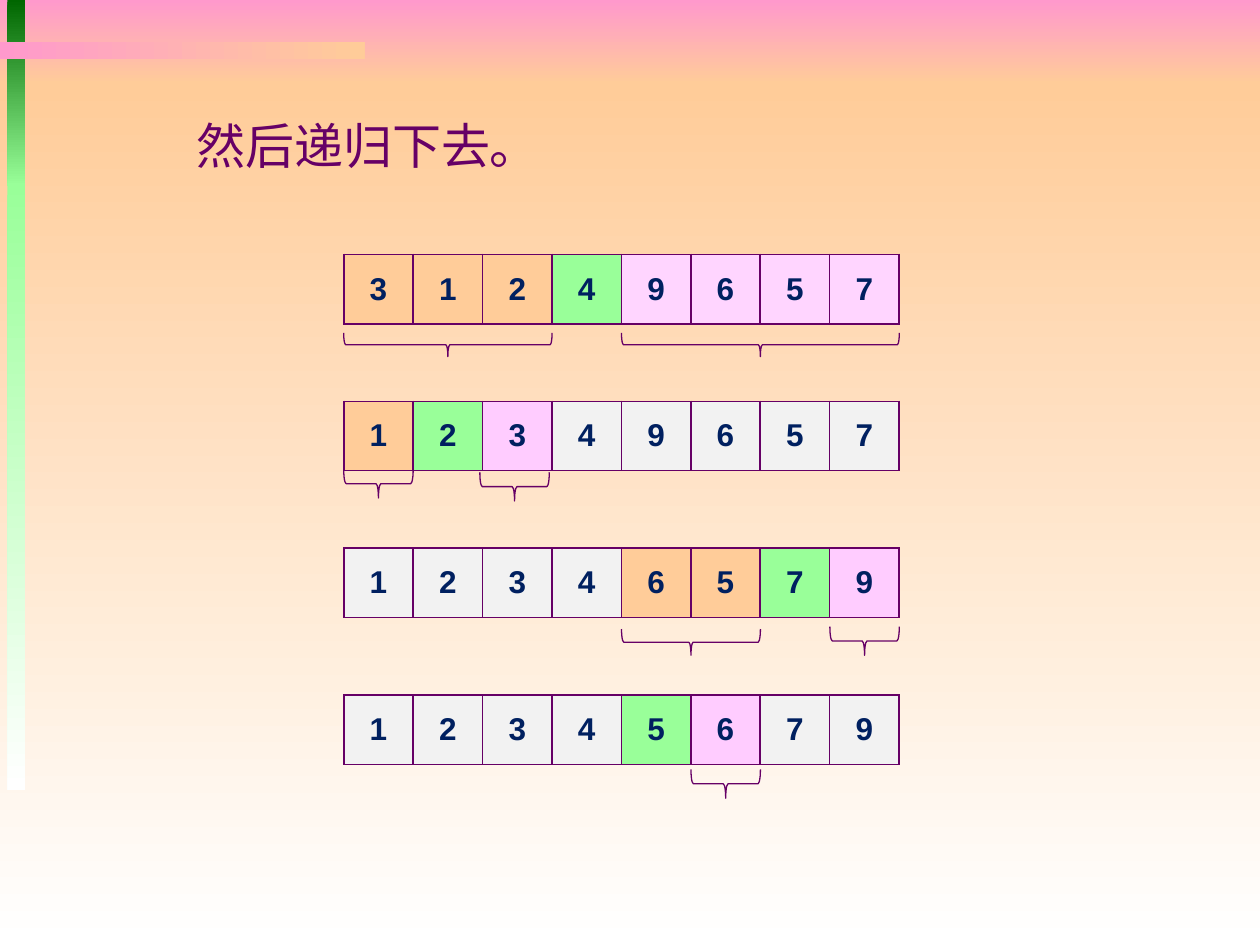
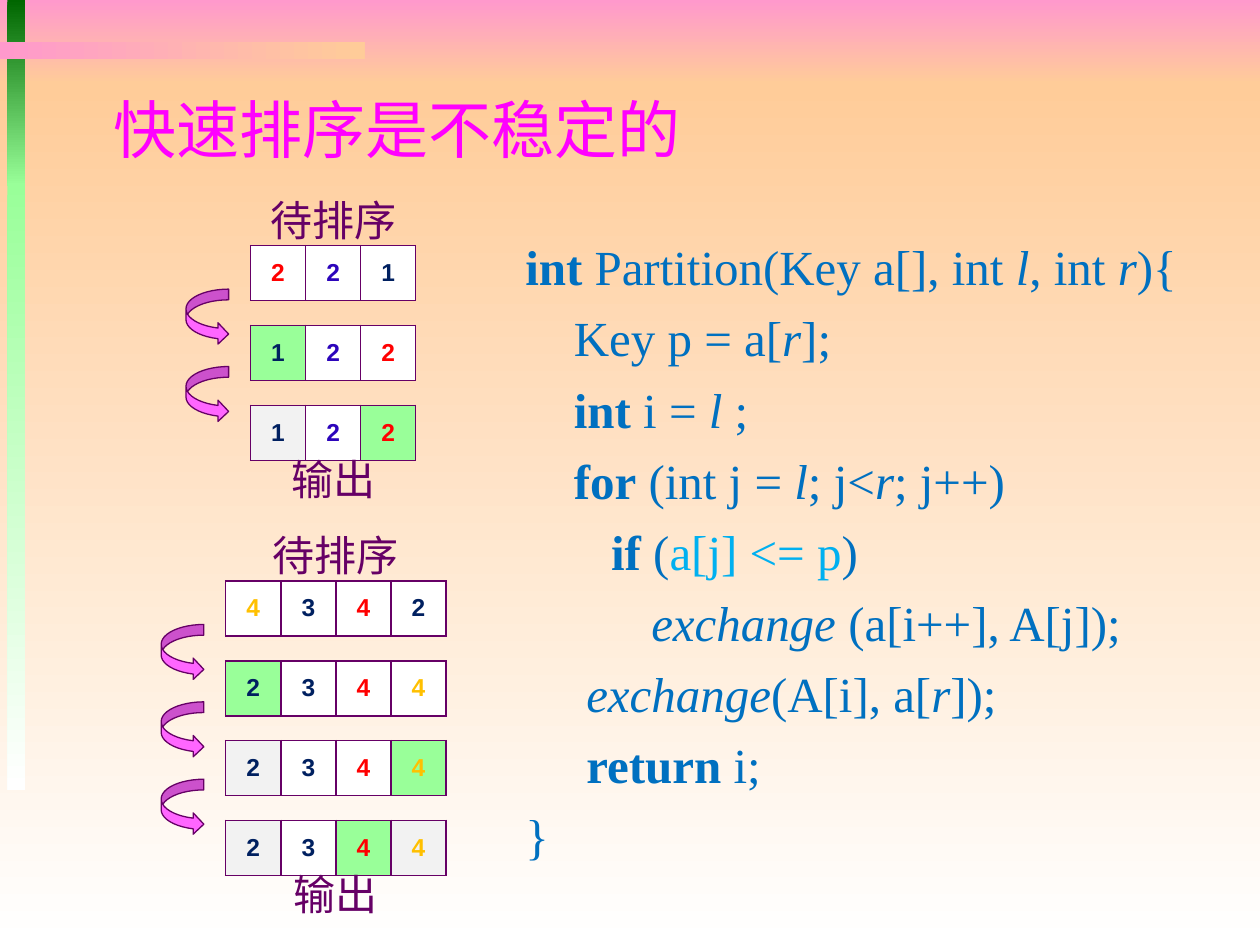
from dataclasses import dataclass

from lxml import etree
from pptx import Presentation
from pptx.dml.color import RGBColor
from pptx.enum import shapes, text
from pptx.oxml import ns
from pptx.util import Cm, Pt


@dataclass(frozen=True)
class Theme:
    """Colours, fonts and type sizes shared by the slides."""
    pink: str = "FF99CC"
    peach: str = "FFCC99"
    forest: str = "006600"
    green: str = "99FF99"
    white: str = "FFFFFF"
    grey: str = "F2F2F2"
    lilac: str = "FFCCFF"
    pale_lilac: str = "FFD5FF"
    plum: str = "660066"
    navy: str = "002060"
    red: str = "FF0000"
    violet: str = "2C05BB"
    amber: str = "FFC000"
    magenta: str = "FF00FF"
    arrow: str = "FF66FF"
    code: str = "0070C0"
    accent: str = "00B0F0"
    sans: str = "Arial"
    title_font: str = "Roboto Condensed"
    serif: str = "Times New Roman"
    title_size: int = 36
    body_size: int = 28
    caption_size: int = 24
    cell_size: int = 18
    small_cell_size: int = 14


T = Theme()
FILLS = {"o": T.peach, "g": T.green, "p": T.lilac, "l": T.pale_lilac,
         "x": T.grey, "w": T.white}
INKS = {"n": T.navy, "r": T.red, "v": T.violet, "a": T.amber}

RECURSION_ROWS = [("31249657", "ooogllll"), ("12349657", "ogpxxxxx"),
                  ("12346579", "xxxxoogp"), ("12345679", "xxxxgpxx")]
# row, first cell, cell count, gap below the row, depth
BRACES = [(0, 0, 3, 0.18, 0.48), (0, 4, 4, 0.18, 0.48),
          (1, 0, 1, -0.03, 0.58), (1, 1.96, 1, 0.03, 0.58),
          (2, 4, 2, 0.23, 0.53), (2, 7, 1, 0.18, 0.58),
          (3, 5, 1, 0.1, 0.58)]
THREE_KEYS = [("221", "www", "rvn"), ("122", "gww", "nvr"), ("122", "xwg", "nvr")]
FOUR_KEYS = [("4342", "wwww", "anrn"), ("2344", "gwww", "nnra"),
             ("2344", "xwwg", "nnra"), ("2344", "xwgx", "nnra")]
PARTITION_CODE = [
    (0, [("int", "b"), (" Partition(Key a[], int ", ""), ("l", "i"),
         (", int ", ""), ("r", "i"), ("){", "")]),
    (0.98, [("Key p = a[", ""), ("r", "i"), ("];", "")]),
    (0.98, [("int ", "b"), ("i = ", ""), ("l", "i"), (" ;", "")]),
    (0.98, [("for", "b"), (" (int j = ", ""), ("l", "i"), ("; j<", ""),
            ("r", "i"), ("; j++)", "")]),
    (1.73, [("if", "b"), (" (", ""), ("a[j] <= p", "c"), (")", "")]),
    (2.54, [("exchange ", "i"), ("(a[i++], A[j]);", "")]),
    (1.23, [("exchange", "i"), ("(A[i], a[", ""), ("r", "i"), ("]);", "")]),
    (1.23, [("return ", "b"), ("i;", "")]),
    (0, [("}", "")]),
]


def rgb(value):
    """Return a colour object for a hex string."""
    return RGBColor.from_string(value)


def style(r, size, color, font=T.sans, bold=False, italic=False):
    """Format one run."""
    r.font.name, r.font.size = font, Pt(size)
    r.font.bold, r.font.italic = bold, italic
    r.font.color.rgb = rgb(color)


def add_band(slide, x, y, w, h, start, end, angle=270):
    """Add a borderless rectangle with a two-colour gradient."""
    sp = slide.shapes.add_shape(shapes.MSO_SHAPE.RECTANGLE, Cm(x), Cm(y), Cm(w), Cm(h))
    sp.shadow.inherit = False
    sp.line.fill.background()
    sp.fill.gradient()
    sp.fill.gradient_angle = angle
    for stop, color in zip(sp.fill.gradient_stops, (start, end)):
        stop.color.rgb = rgb(color)


def add_backdrop(slide):
    """Draw the background and the crossing bands."""
    add_band(slide, 0, 0, 25.4, 1.7, T.pink, T.peach)
    add_band(slide, 0, 1.7, 25.4, 17.35, T.peach, T.white)
    add_band(slide, 0.15, 0, 0.36, 3.75, T.forest, T.green)
    add_band(slide, 0.15, 3.7, 0.36, 12.22, T.green, T.white)
    add_band(slide, 0, 0.84, 7.35, 0.35, T.pink, T.peach, 0)


def add_label(slide, x, y, w, h, words, size, color, font=T.sans, wrap=True):
    """Add a one-line text box and return its text frame."""
    tf = slide.shapes.add_textbox(Cm(x), Cm(y), Cm(w), Cm(h)).text_frame
    tf.word_wrap = wrap
    tf.text = words
    style(tf.paragraphs[0].runs[0], size, color, font)
    return tf


def add_borders(cell):
    """Draw a plum line on all four sides of a cell."""
    props = cell._tc.get_or_add_tcPr()
    for side in ("lnL", "lnR", "lnT", "lnB"):
        ln = etree.SubElement(props, ns.qn(f"a:{side}"), w=str(Pt(1)))
        fill = etree.SubElement(ln, ns.qn("a:solidFill"))
        etree.SubElement(fill, ns.qn("a:srgbClr"), val=T.plum)


def add_keys(slide, x, y, side, size, keys, fills, inks=None):
    """Add a row of square cells, one per key."""
    frame = slide.shapes.add_table(1, len(keys), Cm(x), Cm(y),
                                   Cm(side * len(keys)), Cm(side))
    table = frame.table
    table.first_row = table.horz_banding = False
    table.rows[0].height = Cm(side)
    for i, (key, fill, ink) in enumerate(zip(keys, fills, inks or "n" * len(keys))):
        table.columns[i].width = Cm(side)
        cell = table.cell(0, i)
        add_borders(cell)
        cell.fill.solid()
        cell.fill.fore_color.rgb = rgb(FILLS[fill])
        cell.margin_left = cell.margin_right = Cm(0.2)
        cell.margin_top = cell.margin_bottom = Cm(0.1)
        cell.vertical_anchor = text.MSO_ANCHOR.MIDDLE
        cell.text_frame.text = key
        p = cell.text_frame.paragraphs[0]
        p.alignment = text.PP_ALIGN.CENTER
        style(p.runs[0], size, INKS[ink], bold=True)


def add_outlined(slide, kind, x, y, w, h, fill=None):
    """Add a preset shape with a thin plum outline."""
    sp = slide.shapes.add_shape(kind, Cm(x), Cm(y), Cm(w), Cm(h))
    sp.shadow.inherit = False
    sp.line.color.rgb, sp.line.width = rgb(T.plum), Pt(0.75)
    if fill:
        sp.fill.solid()
        sp.fill.fore_color.rgb = rgb(fill)
    else:
        sp.fill.background()
    return sp


def add_brace(slide, x, y, width, depth):
    """Add a brace that opens upwards and spans the given width."""
    sp = add_outlined(slide, shapes.MSO_SHAPE.LEFT_BRACE, x + (width - depth) / 2,
                      y + (depth - width) / 2, depth, width)
    sp.rotation = 270


def add_recursion(slide, x, y, side=1.4, pitch=2.96):
    """Draw the recursion stages and brace their open parts."""
    for i, (keys, fills) in enumerate(RECURSION_ROWS):
        add_keys(slide, x, y + i * pitch, side, T.cell_size, keys, fills)
    for row, first, count, gap, depth in BRACES:
        add_brace(slide, x + first * side, y + row * pitch + side + gap,
                  count * side, depth)


def add_trace(slide, x, y, stages, side=1.11, pitch=1.61):
    """Draw a sorting trace with its captions and step arrows."""
    for i, (keys, fills, inks) in enumerate(stages):
        add_keys(slide, x, y + i * pitch, side, T.small_cell_size, keys, fills, inks)
    for i in range(len(stages) - 1):
        add_outlined(slide, shapes.MSO_SHAPE.CURVED_RIGHT_ARROW, x - 1.3,
                     y + 0.88 + i * 1.56, 0.86, 1.12, T.arrow)
    center = x + side * len(stages[0][0]) / 2
    last = y + (len(stages) - 1) * pitch
    for words, top in (("待排序", y - 1.16), ("输出", last + 0.85)):
        tf = add_label(slide, center - 1.73, top, 3.46, 1.28, words,
                       T.caption_size, T.plum)
        tf.paragraphs[0].alignment = text.PP_ALIGN.CENTER


def add_code(slide, x, y, w, h):
    """Set the partition routine as indented lines."""
    tf = slide.shapes.add_textbox(Cm(x), Cm(y), Cm(w), Cm(h)).text_frame
    tf.word_wrap = True
    for i, (indent, parts) in enumerate(PARTITION_CODE):
        p = tf.add_paragraph() if i else tf.paragraphs[0]
        p.space_before = Pt(7)
        p._p.get_or_add_pPr().set("marL", str(Cm(indent)))
        for words, mark in parts:
            r = p.add_run()
            r.text = words
            style(r, T.body_size, T.accent if mark == "c" else T.code, T.serif,
                  bold=mark == "b", italic=mark == "i")


def build_recursion_slide(slide):
    """Build the slide on recursive partitioning."""
    add_backdrop(slide)
    add_label(slide, 3.71, 2.21, 7.49, 1.45, "然后递归下去。", T.body_size, T.plum,
              wrap=False)
    add_recursion(slide, 6.93, 5.13)


def build_stability_slide(slide):
    """Build the slide on the instability of quicksort."""
    add_backdrop(slide)
    tf = add_label(slide, 2.03, 1.45, 21.59, 2.29, "快速排序是不稳定的",
                   T.title_size, T.magenta, T.title_font)
    tf.vertical_anchor = text.MSO_ANCHOR.MIDDLE
    add_trace(slide, 5.05, 4.95, THREE_KEYS)
    add_trace(slide, 4.55, 11.71, FOUR_KEYS)
    add_code(slide, 10.34, 4.65, 15.06, 12.95)


def main():
    """Build and save the presentation."""
    prs = Presentation()
    prs.slide_width, prs.slide_height = Cm(25.4), Cm(19.05)
    for build in (build_recursion_slide, build_stability_slide):
        build(prs.slides.add_slide(prs.slide_layouts[6]))
    prs.save("out.pptx")


if __name__ == "__main__":
    main()
